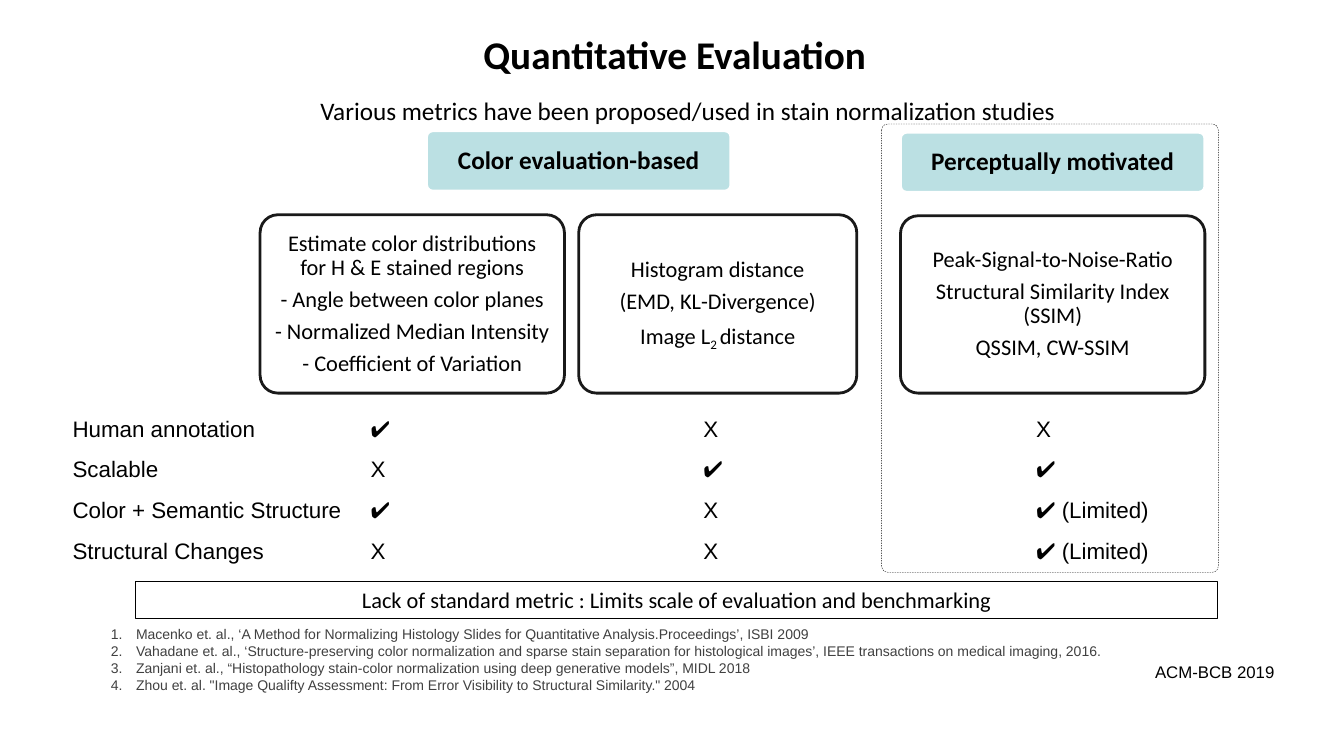
from typing import NamedTuple

from lxml import etree
from pptx import Presentation, util as u
from pptx.dml.color import RGBColor
from pptx.enum import dml, shapes, text
from pptx.oxml.ns import qn

COLORS = {"ink": "000000", "paper": "FFFFFF", "heading": "BBE0E3", "reference": "404040"}
CENTER = text.PP_ALIGN.CENTER
MIDDLE = text.MSO_ANCHOR.MIDDLE

CRITERIA = [
    ("Human annotation", "✔", "X", "X"),
    ("Scalable", "X", "✔", "✔"),
    ("Color + Semantic Structure", "✔", "X", "✔ (Limited)"),
    ("Structural Changes", "X", "X", "✔ (Limited)"),
]
# Each card: left and width as percent of its family, then its lines.
COLOR_CARDS = [
    (0, 51, ["Estimate color distributions for H & E stained regions",
             "- Angle between color planes",
             "- Normalized Median Intensity",
             "- Coefficient of Variation"]),
    (53.4, 46.6, ["Histogram distance", "(EMD, KL-Divergence)", "Image L_2 _distance"]),
]
PERCEPTUAL_CARDS = [
    (0, 100, ["Peak-Signal-to-Noise-Ratio", "Structural Similarity Index (SSIM)",
              "QSSIM, CW-SSIM"]),
]
REFERENCES = [
    "Macenko et. al., ‘A Method for Normalizing Histology Slides for Quantitative "
    "Analysis.Proceedings’, ISBI 2009",
    "Vahadane et. al., ‘Structure-preserving color normalization and sparse stain separation "
    "for histological images’, IEEE transactions on medical imaging, 2016.",
    "Zanjani et. al., “Histopathology stain-color normalization using deep generative "
    "models”, MIDL 2018",
    "Zhou et. al. \"Image Qualifty Assessment: From Error Visibility to Structural "
    "Similarity.\" 2004",
]


class Box(NamedTuple):
    left: int
    top: int
    width: int
    height: int


def inner(box, left, top, width, height):
    """Return a box given in percent of the outer one."""
    return Box(int(box.left + box.width * left / 100),
               int(box.top + box.height * top / 100),
               int(box.width * width / 100), int(box.height * height / 100))


def rgb(name):
    return RGBColor.from_string(COLORS[name])


def style(paragraph, size, font="Calibri", bold=False, color="ink", align=None):
    paragraph.alignment = align
    for run in paragraph.runs:
        run.font.name, run.font.size, run.font.bold = font, u.Pt(size), bold
        run.font.color.rgb = rgb(color)


def place(shape, box):
    shape.left, shape.top, shape.width, shape.height = box


def add_panel(slide, box, kind, line, width, fill=None, radius=None):
    panel = slide.shapes.add_shape(kind, *box)
    panel.shadow.inherit = False
    if radius is not None:
        panel.adjustments[0] = radius
    if fill:
        panel.fill.solid()
        panel.fill.fore_color.rgb = rgb(fill)
    else:
        panel.fill.background()
    panel.line.color.rgb = rgb(line)
    panel.line.width = u.Pt(width)
    return panel


def fill_card(card, lines, size, bold=False):
    """Write centred lines; underscores enclose a subscript."""
    frame = card.text_frame
    frame.word_wrap = True
    frame.vertical_anchor = MIDDLE
    frame.margin_left = frame.margin_right = u.Inches(0.08)
    frame.margin_top = frame.margin_bottom = u.Inches(0.07)
    for index, line in enumerate(lines):
        paragraph = frame.paragraphs[0] if index == 0 else frame.add_paragraph()
        for position, piece in enumerate(line.split("_")):
            run = paragraph.add_run()
            run.text = piece
            if position % 2:
                run._r.get_or_add_rPr().set("baseline", "-25000")
        style(paragraph, size, bold=bold, align=CENTER)
        paragraph.line_spacing = 0.9
        paragraph.space_after = u.Pt(size * 0.35)


def add_family(slide, box, heading, heading_span, cards):
    """Add a metric family: its heading above its cards."""
    left, width = heading_span
    rounded = shapes.MSO_SHAPE.ROUNDED_RECTANGLE
    label = add_panel(slide, inner(box, left, 0, width, 23), rounded, "paper", 2, "heading", 0.1)
    fill_card(label, [heading], 18, bold=True)
    for left, width, lines in cards:
        card = add_panel(slide, inner(box, left, 32, width, 68), rounded, "ink", 2, radius=0.1)
        color = card._element.spPr.find(qn("a:ln")).find(".//" + qn("a:srgbClr"))
        etree.SubElement(color, qn("a:alpha"), val="90000")
        fill_card(card, lines, 16)


def add_title(slide, box):
    title = slide.shapes.title
    place(title, box)
    title.text_frame.text = "Quantitative Evaluation"
    title.text_frame.vertical_anchor = MIDDLE
    style(title.text_frame.paragraphs[0], 28, bold=True, align=CENTER)


def add_label(slide, box, words, size, font):
    label = slide.shapes.add_textbox(*box)
    label.text_frame.text = words
    label.text_frame.word_wrap = False
    label.text_frame.auto_size = text.MSO_AUTO_SIZE.SHAPE_TO_FIT_TEXT
    style(label.text_frame.paragraphs[0], size, font)


def add_criteria(slide, box):
    table = slide.shapes.add_table(len(CRITERIA), len(CRITERIA[0]), *box).table
    table.first_row = table.horz_banding = False
    for column, share in zip(table.columns, (23, 25.67, 25.67, 25.66)):
        column.width = int(box.width * share / 100)
    for row, values in enumerate(CRITERIA):
        for column, value in enumerate(values):
            cell = table.cell(row, column)
            cell.text_frame.text = value
            cell.vertical_anchor = MIDDLE
            cell.fill.solid()
            cell.fill.fore_color.rgb = rgb("paper")
            style(cell.text_frame.paragraphs[0], 16, "Arial")


def add_conclusion(slide, box):
    banner = add_panel(slide, box, shapes.MSO_SHAPE.RECTANGLE, "ink", 0.75)
    banner.text_frame.text = "Lack of standard metric : Limits scale of evaluation and benchmarking"
    banner.text_frame.word_wrap = True
    style(banner.text_frame.paragraphs[0], 16, align=CENTER)


def add_frame(slide, box):
    frame = add_panel(slide, box, shapes.MSO_SHAPE.ROUNDED_RECTANGLE, "ink", 0.25, radius=0.018)
    frame.line.dash_style = dml.MSO_LINE.DASH


def add_references(slide, box):
    body = slide.placeholders[1]
    place(body, box)
    frame = body.text_frame
    frame.text = "\n".join(REFERENCES)
    frame.auto_size = text.MSO_AUTO_SIZE.NONE
    for paragraph in frame.paragraphs:
        properties = paragraph._p.get_or_add_pPr()
        indent = u.Inches(0.25)
        properties.set("marL", str(int(indent)))
        properties.set("indent", str(-int(indent)))
        etree.SubElement(properties, qn("a:buFont"), typeface="+mj-lt")
        etree.SubElement(properties, qn("a:buAutoNum"), type="arabicPeriod")
        paragraph.space_before = u.Pt(0)
        style(paragraph, 10, "Arial", color="reference")


def main():
    presentation = Presentation()
    presentation.slide_width, presentation.slide_height = u.Inches(13.33), u.Inches(7.5)
    slide = presentation.slides.add_slide(presentation.slide_layouts[1])
    page = Box(0, 0, presentation.slide_width, presentation.slide_height)

    add_title(slide, inner(page, 2.5, 1.9, 95.4, 10.4))
    add_label(slide, inner(page, 23.1, 11.9, 59.2, 5.3),
              "Various metrics have been proposed/used in stain normalization studies",
              18, "Calibri")
    add_conclusion(slide, inner(page, 10.1, 76.9, 80.5, 4.9))
    add_criteria(slide, inner(page, 4.65, 54.1, 96.45, 21.6))
    add_family(slide, inner(page, 19.35, 17.3, 44.4, 34.7),
               "Color evaluation-based", (27.9, 51), COLOR_CARDS)
    add_family(slide, inner(page, 67, 17.5, 22.65, 34.5),
               "Perceptually motivated", (0, 100), PERCEPTUAL_CARDS)
    add_frame(slide, inner(page, 65.6, 16.4, 25.05, 59.3))
    add_references(slide, inner(page, 7.5, 82.1, 89.8, 17.3))
    add_label(slide, inner(page, 85.2, 86.9, 10.5, 4), "ACM-BCB 2019", 12, "Arial")
    presentation.save("out.pptx")


if __name__ == "__main__":
    main()
